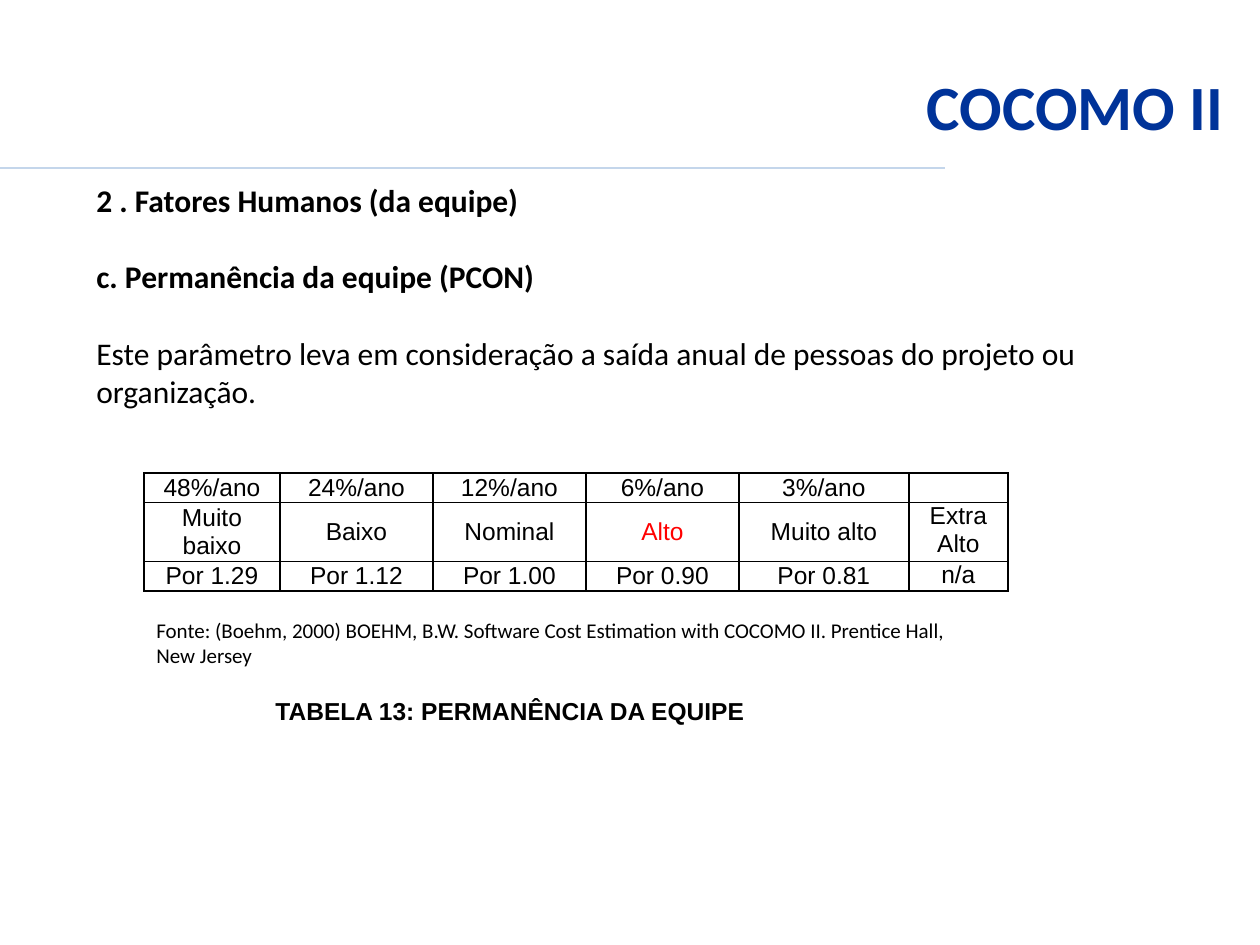
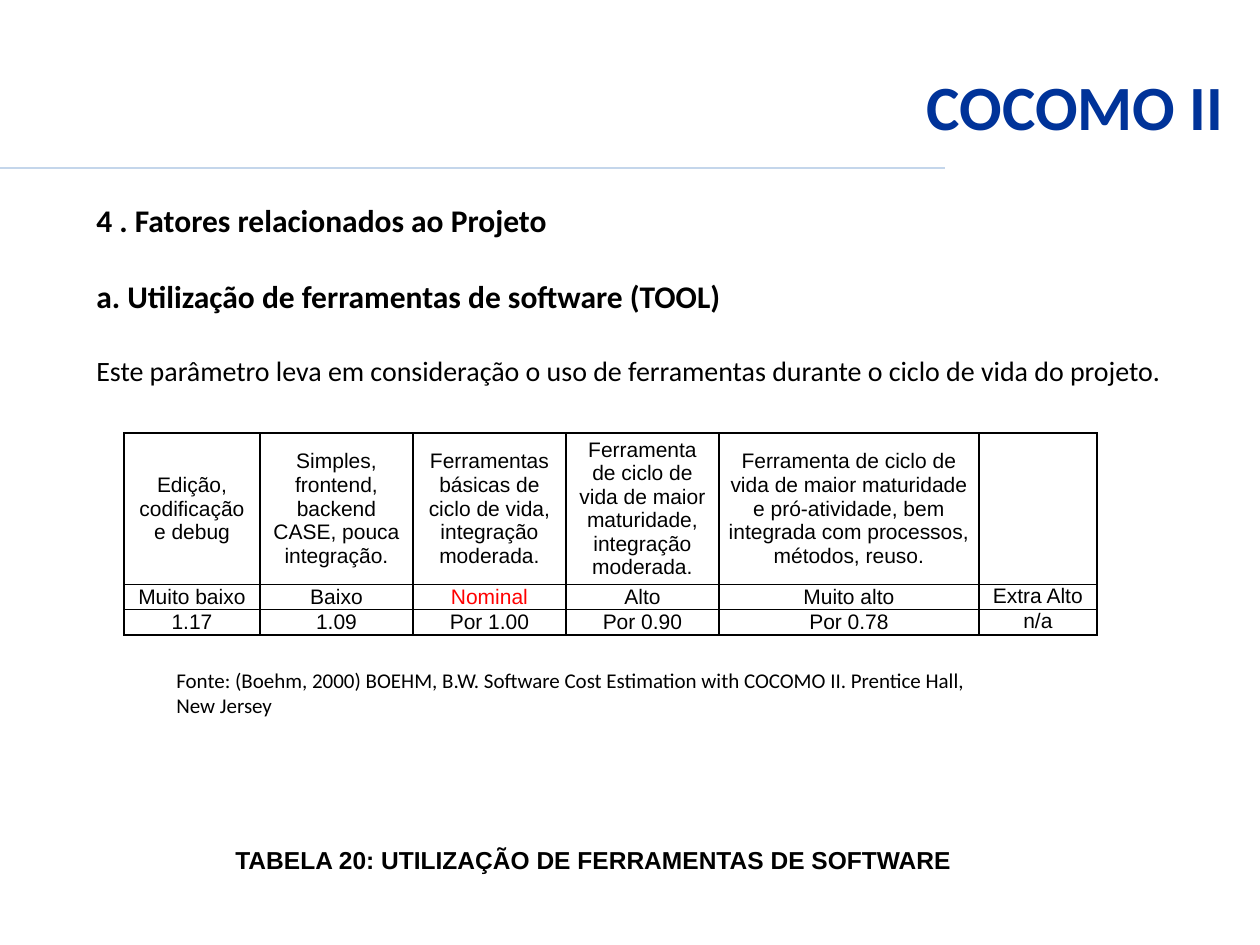
from lxml import etree
from pptx import Presentation
from pptx import util as u
from pptx.dml import color
from pptx.enum import shapes, text
from pptx.oxml import ns

PX = 914400 / 126
BLACK, RED, NAVY, RULE = "000000", "FF0000", "003399", "C4D6EB"
HEADING, TABLE_FONT = "Calibri", "Arial"
TITLE_ONLY = 5
SOURCE = ("Fonte: (Boehm, 2000) BOEHM, B.W. Software Cost Estimation with "
          "COCOMO II. Prentice Hall, New Jersey")


def px(*lengths):
    return [u.Emu(round(length * PX)) for length in lengths]


def rgb(hex_string):
    return color.RGBColor.from_string(hex_string)


def child(parent, tag, **attributes):
    return etree.SubElement(parent, ns.qn(tag), **attributes)


class Deck:
    def __init__(self):
        self.prs = Presentation()
        self.prs.slide_width, self.prs.slide_height = px(1260, 945)
        self.slide = None

    def new_slide(self, heading):
        """Start a slide with the shared title and the line under it."""
        self.slide = self.prs.slides.add_slide(self.prs.slide_layouts[TITLE_ONLY])
        self.line(0, 168, 945, 168)
        title = self.slide.shapes.title
        title.left, title.top, title.width, title.height = px(84, 26, 1152, 158)
        frame = title.text_frame
        frame.auto_size = text.MSO_AUTO_SIZE.NONE
        frame.vertical_anchor = text.MSO_ANCHOR.MIDDLE
        frame.paragraphs[0].alignment = text.PP_ALIGN.RIGHT
        self.run(frame.paragraphs[0], heading, 36, HEADING, NAVY, bold=True)

    def line(self, x1, y1, x2, y2):
        rule = self.slide.shapes.add_connector(
            shapes.MSO_CONNECTOR.STRAIGHT, *px(x1, y1, x2, y2))
        rule.line.color.rgb = rgb(RULE)
        rule.line.width = u.Pt(0.75)
        child(rule._element.spPr, "a:effectLst")

    def run(self, paragraph, words, size, font, ink=BLACK, bold=False):
        run = paragraph.add_run()
        run.text = words
        run.font.size = u.Pt(size)
        run.font.name = font
        run.font.bold = bold
        run.font.color.rgb = rgb(ink)

    def text_box(self, place, lines, font=HEADING, wrap=True, middle=False):
        """Write lines of (words, size, bold), one empty line height apart."""
        frame = self.slide.shapes.add_textbox(*px(*place)).text_frame
        frame.word_wrap = wrap
        frame.auto_size = text.MSO_AUTO_SIZE.SHAPE_TO_FIT_TEXT
        if middle:
            frame.vertical_anchor = text.MSO_ANCHOR.MIDDLE
        for i, (words, size, bold) in enumerate(lines):
            paragraph = frame.add_paragraph() if i else frame.paragraphs[0]
            if i:
                paragraph.space_before = u.Pt(22)
            self.run(paragraph, words, size, font, bold=bold)

    def body(self, top, height, factor, parameter, description, size):
        self.text_box((84, top, 1111, height),
                      [(factor, 18, True), (parameter, 18, True),
                       (description, size, False)])

    def source(self, left, top):
        self.text_box((left, top, 834, 64), [(SOURCE, 12, False)], middle=True)

    def caption(self, left, top, width, words):
        self.text_box((left, top, width, 43), [(words, 14, True)],
                      TABLE_FONT, wrap=False)

    def ratings(self, left, top, widths, heights, rows, size, chosen):
        """Draw the rating table with the chosen level in red."""
        table = self.slide.shapes.add_table(
            len(heights), len(widths),
            *px(left, top, sum(widths), sum(heights))).table
        table.first_row = table.horz_banding = False
        for column, width in zip(table.columns, px(*widths)):
            column.width = width
        for row, height in zip(table.rows, px(*heights)):
            row.height = height
        for r, row in enumerate(rows):
            for c, words in enumerate(row):
                self.cell(table.cell(r, c), words, size,
                          RED if words == chosen else BLACK,
                          last=c == len(row) - 1)

    def cell(self, cell, words, size, ink, last):
        cell.margin_left, cell.margin_right = px(9, 9)
        cell.margin_top = cell.margin_bottom = 0
        cell.vertical_anchor = (text.MSO_ANCHOR.TOP if last
                                else text.MSO_ANCHOR.MIDDLE)
        paragraph = cell.text_frame.paragraphs[0]
        paragraph.alignment = text.PP_ALIGN.CENTER
        if words:
            self.run(paragraph, words, size, TABLE_FONT, ink)
        else:
            child(paragraph._p, "a:endParaRPr", sz=str(size * 100))
        properties = cell._tc.get_or_add_tcPr()
        for side in "LRTB":
            border = child(properties, f"a:ln{side}", w=str(u.Pt(1)))
            child(child(border, "a:solidFill"), "a:srgbClr", val=BLACK)
        cell.fill.background()


def staff_continuity(deck):
    deck.new_slide("COCOMO II")
    deck.body(175, 280, "2 . Fatores Humanos (da equipe)",
              "c. Permanência da equipe (PCON)",
              "Este parâmetro leva em consideração a saída anual de pessoas "
              "do projeto ou organização.", 18)
    deck.ratings(144, 473, [136, 153, 153, 153, 170, 99], [29, 59, 29], [
        ["48%/ano", "24%/ano", "12%/ano", "6%/ano", "3%/ano", ""],
        ["Muito baixo", "Baixo", "Nominal", "Alto", "Muito alto", "Extra Alto"],
        ["Por 1.29", "Por 1.12", "Por 1.00", "Por 0.90", "Por 0.81", "n/a"],
    ], 14, "Alto")
    deck.caption(263, 690, 505, "TABELA 13: PERMANÊNCIA DA EQUIPE")
    deck.source(144, 611)


def software_tools(deck):
    deck.new_slide("COCOMO II")
    deck.body(195, 233, "4 . Fatores relacionados ao Projeto",
              "a. Utilização de ferramentas de software (TOOL)",
              "Este parâmetro leva em consideração o uso de ferramentas "
              "durante o ciclo de vida do projeto.", 16)
    deck.ratings(124, 433, [136, 153, 153, 153, 260, 118], [151, 25, 25], [
        ["Edição, codificação e debug",
         "Simples, frontend, backend CASE, pouca integração.",
         "Ferramentas básicas de ciclo de vida, integração moderada.",
         "Ferramenta de ciclo de vida de maior maturidade, integração moderada.",
         "Ferramenta de ciclo de vida de maior maturidade e pró-atividade, "
         "bem integrada com processos, métodos, reuso.", ""],
        ["Muito baixo", "Baixo", "Nominal", "Alto", "Muito alto", "Extra Alto"],
        ["1.17", "1.09", "Por 1.00", "Por 0.90", "Por 0.78", "n/a"],
    ], 12, "Nominal")
    deck.caption(223, 839, 753, "TABELA 20: UTILIZAÇÃO DE FERRAMENTAS DE SOFTWARE")
    deck.source(164, 661)


def main():
    deck = Deck()
    staff_continuity(deck)
    software_tools(deck)
    deck.prs.save("out.pptx")


if __name__ == "__main__":
    main()
